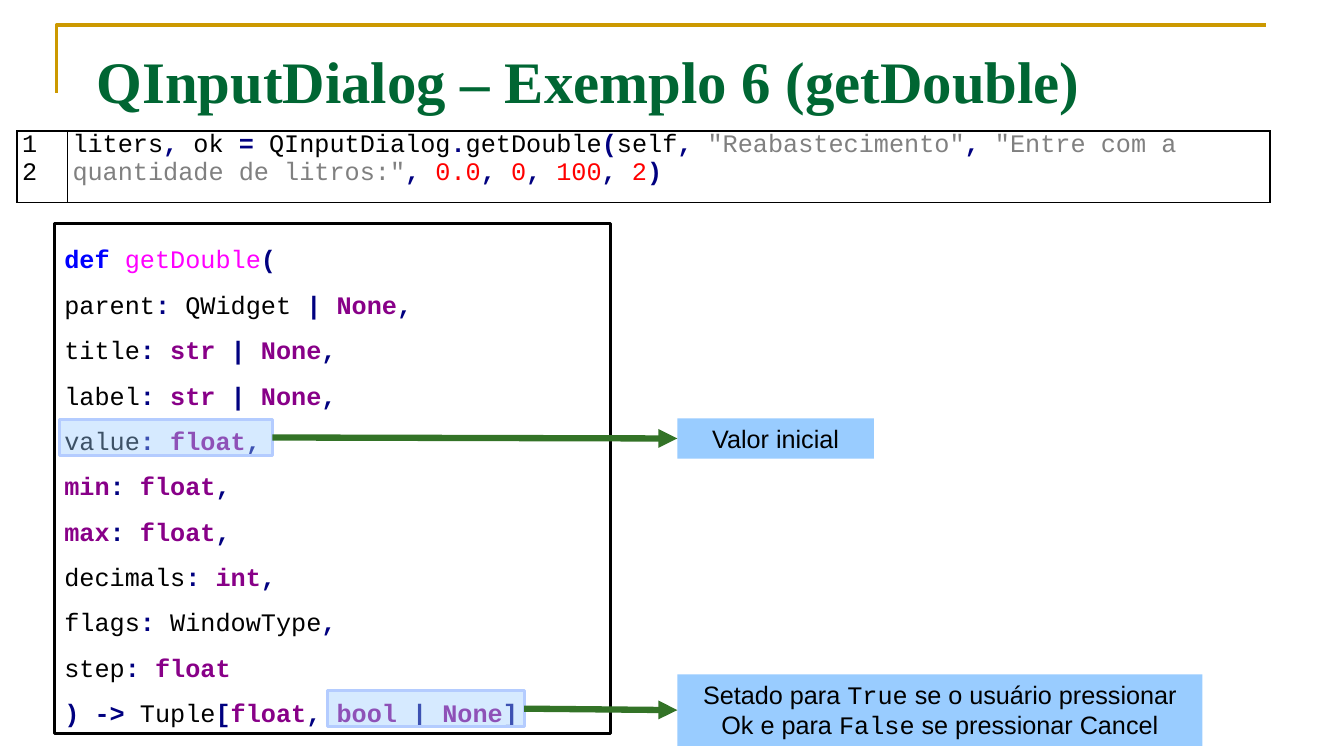
import pptx
import pptx.util
import pptx.dml.color
import pptx.enum.shapes
import pptx.enum.text
import pptx.oxml.ns
from lxml import etree

Pt = pptx.util.Pt
ALIGN = pptx.enum.text.PP_ALIGN
ANCHOR = pptx.enum.text.MSO_ANCHOR

COLORS = {
    "gold": "CC9900", "title": "006633", "black": "000000", "white": "FFFFFF",
    "operator": "000080", "string": "808080", "number": "FF0000",
    "keyword": "0000FF", "function": "FF00FF", "builtin": "880088",
    "label": "99CCFF", "highlight_line": "B4CCFF", "arrow": "337327",
}
BOLD_STYLES = {"title", "operator", "keyword", "builtin"}
CODE_FONT = "Courier New"

CALL = [
    ("liters", "black"), (",", "operator"), (" ok ", "black"), ("=", "operator"),
    (" QInputDialog", "black"), (".", "operator"), ("getDouble", "black"),
    ("(", "operator"), ("self", "black"), (", ", "operator"),
    ('"Reabastecimento"', "string"), (", ", "operator"),
    ('"Entre com a quantidade de litros:"', "string"), (", ", "operator"),
    ("0.0", "number"), (", ", "operator"), ("0", "number"), (", ", "operator"),
    ("100", "number"), (", ", "operator"), ("2", "number"), (")", "operator"),
]
OR_NONE = [("| ", "operator"), ("None", "builtin")]
COMMA = ("," , "operator")
COLON = (": ", "operator")
FLOAT = ("float", "builtin")
SIGNATURE = [
    [("def ", "keyword"), ("getDouble", "function"), ("(", "operator")],
    [("parent", "black"), (":", "operator"), (" QWidget ", "black"), *OR_NONE, COMMA],
    [("title", "black"), COLON, ("str ", "builtin"), *OR_NONE, COMMA],
    [("label", "black"), COLON, ("str ", "builtin"), *OR_NONE, COMMA],
    [("value", "black"), COLON, FLOAT, COMMA],
    [("min", "builtin"), COLON, FLOAT, COMMA],
    [("max", "builtin"), COLON, FLOAT, COMMA],
    [("decimals", "black"), (":", "operator"), (" int", "builtin"), COMMA],
    [("flags", "black"), COLON, ("WindowType", "black"), COMMA],
    [("step", "black"), COLON, FLOAT],
    [(") ->", "operator"), (" Tuple", "black"), ("[", "operator"), FLOAT,
     (", ", "operator"), ("bool ", "builtin"), *OR_NONE, ("]", "operator")],
]
RESULT_NOTE = [
    ("Setado para ", "black", "Arial"), ("True", "black"),
    (" se o usuário pressionar Ok e para ", "black", "Arial"), ("False", "black"),
    (" se pressionar Cancel", "black", "Arial"),
]


def rgb(name):
    return pptx.dml.color.RGBColor.from_string(COLORS[name])


def set_values(target, values):
    for name, value in values.items():
        setattr(target, name, value)


def add_element(parent, tag, **attributes):
    return etree.SubElement(parent, pptx.oxml.ns.qn(tag), attributes)


def write_lines(frame, lines, size=18, frame_format=None, **paragraph_format):
    set_values(frame, {"word_wrap": True, **(frame_format or {})})
    for index, line in enumerate(lines):
        paragraph = frame.add_paragraph() if index else frame.paragraphs[0]
        set_values(paragraph, {"alignment": ALIGN.LEFT, **paragraph_format})
        for text, style, *font in line:
            run = paragraph.add_run()
            run.text = text
            set_values(run.font, {"name": font[0] if font else CODE_FONT,
                                  "size": Pt(size), "bold": style in BOLD_STYLES})
            run.font.color.rgb = rgb(style)


def add_frame(slide):
    builder = slide.shapes.build_freeform(Pt(40.3), Pt(66.2))
    builder.add_line_segments([(Pt(40.3), Pt(18)), (Pt(904.3), Pt(18))], close=False)
    shape = builder.convert_to_shape()
    shape.shadow.inherit = False
    shape.fill.background()
    shape.line.color.rgb = rgb("gold")
    shape.line.width = Pt(2.5)


def add_title(slide, text):
    box = slide.shapes.add_textbox(Pt(61.9), Pt(25.9), Pt(864), Pt(62.6))
    write_lines(box.text_frame, [[(text, "title", "Times New Roman")]], 42,
                {"vertical_anchor": ANCHOR.MIDDLE})


def add_box(slide, bounds, fill, line=None, opacity=100):
    shape = slide.shapes.add_shape(pptx.enum.shapes.MSO_SHAPE.RECTANGLE, *map(Pt, bounds))
    shape.shadow.inherit = False
    shape.fill.solid()
    shape.fill.fore_color.rgb = rgb(fill)
    if opacity < 100:
        color = shape.fill._xPr.find(".//" + pptx.oxml.ns.qn("a:srgbClr"))
        add_element(color, "a:alpha", val=str(opacity * 1000))
    if line:
        shape.line.color.rgb = rgb(line)
        shape.line.width = Pt(2)
    else:
        shape.line.fill.background()
    return shape


def add_highlight(slide, bounds):
    return add_box(slide, bounds, "label", "highlight_line", 40)


def add_label(slide, bounds, line):
    shape = add_box(slide, bounds, "label")
    write_lines(shape.text_frame, [line], alignment=ALIGN.CENTER,
                frame_format={"vertical_anchor": ANCHOR.TOP})
    return shape


def add_arrow(slide, source, target):
    connector = slide.shapes.add_connector(
        pptx.enum.shapes.MSO_CONNECTOR.STRAIGHT, 0, 0, 0, 0)
    connector.begin_connect(source, 3)
    connector.end_connect(target, 1)
    connector.line.color.rgb = rgb("arrow")
    connector.line.width = Pt(4.5)
    add_element(connector.line._get_or_add_ln(), "a:tailEnd", type="triangle")
    add_element(connector._element.spPr, "a:effectLst")


def add_borders(cell):
    properties = cell._tc.get_or_add_tcPr()
    for index, side in enumerate(("a:lnL", "a:lnR", "a:lnT", "a:lnB")):
        border = etree.Element(pptx.oxml.ns.qn(side), w=str(Pt(1)))
        fill = add_element(border, "a:solidFill")
        add_element(fill, "a:srgbClr", val=COLORS["black"])
        properties.insert(index, border)


def add_code_table(slide):
    table = slide.shapes.add_table(1, 2, Pt(12.2), Pt(93.6), Pt(895), Pt(51.1)).table
    set_values(table, {"first_row": False, "horz_banding": False})
    numbers = [[(number, "black")] for number in "12"]
    columns = [(36, numbers, ALIGN.JUSTIFY), (859, [CALL], ALIGN.LEFT)]
    for index, (width, lines, alignment) in enumerate(columns):
        table.columns[index].width = Pt(width)
        cell = table.cell(0, index)
        set_values(cell, {"margin_left": Pt(3.6), "margin_right": Pt(3.6),
                          "margin_top": 0, "margin_bottom": 0})
        cell.fill.background()
        write_lines(cell.text_frame, lines, alignment=alignment)
        add_borders(cell)


def main():
    presentation = pptx.Presentation()
    set_values(presentation, {"slide_width": Pt(960), "slide_height": Pt(540)})
    slide = presentation.slides.add_slide(presentation.slide_layouts[6])
    add_frame(slide)
    add_title(slide, "QInputDialog – Exemplo 6 (getDouble)")
    add_code_table(slide)

    signature = add_box(slide, (38.9, 159.8, 397.4, 364.3), "white", "black")
    write_lines(signature.text_frame, SIGNATURE, line_spacing=1.5,
                frame_format={"vertical_anchor": ANCHOR.TOP})

    value = add_highlight(slide, (42.5, 299.5, 152, 26))
    result = add_highlight(slide, (234, 493.2, 140.4, 26))
    result_label = add_label(slide, (483.8, 481.7, 375.1, 51.1), RESULT_NOTE)
    value_label = add_label(slide, (483.8, 298.8, 140.4, 28.8),
                            [("Valor inicial", "black", "Arial")])
    add_arrow(slide, result, result_label)
    add_arrow(slide, value, value_label)
    presentation.save("out.pptx")


if __name__ == "__main__":
    main()
